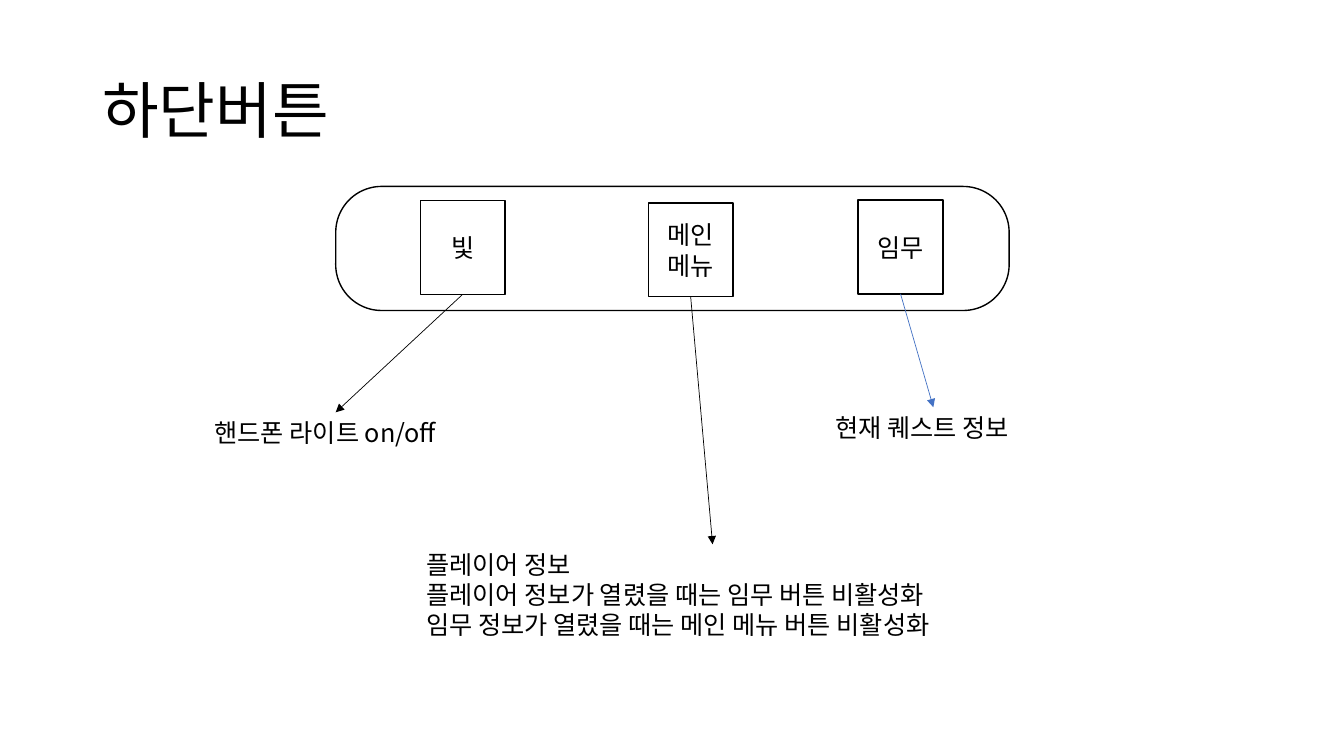
from lxml.etree import SubElement
from pptx import Presentation
from pptx.dml.color import RGBColor
from pptx.enum.shapes import MSO_CONNECTOR as Connector, MSO_SHAPE as Shape
from pptx.enum.text import MSO_ANCHOR as Anchor, PP_ALIGN as Align
from pptx.oxml.ns import qn
from pptx.util import Pt

FONT = "Noto Sans CJK KR"
COLORS = {"ink": "000000", "paper": "FFFFFF", "blue": "4472C4"}
BUTTON_WIDTH, BUTTON_HEIGHT = 60.7, 67.1
BOTTOM_SITE = 2

# Button: text, left, top; arrow: tip and colour
BUTTONS = [
    ("빛", 300.2, 143.1, (239.8, 294.5), "ink"),
    ("메인메뉴", 463, 144.9, (509, 388.8), "ink"),
    ("임무", 612.9, 142.8, (666.7, 290.9), "blue"),
]

# Note: lines, left, top, width, height
NOTES = [
    (["핸드폰 라이트 on/off"], 146.2, 294.5, 187.2, 29.1),
    (["플레이어 정보",
      "플레이어 정보가 열렸을 때는 임무 버튼 비활성화",
      "임무 정보가 열렸을 때는 메인 메뉴 버튼 비활성화"], 297.4, 388.8, 423.4, 72.7),
    (["현재 퀘스트 정보"], 589.7, 290.9, 154.8, 29.1),
]


def color(name):
    return RGBColor.from_string(COLORS[name])


def write(frame, lines, size, align=Align.LEFT, spacing=None):
    for index, line in enumerate(lines):
        para = frame.add_paragraph() if index else frame.paragraphs[0]
        para.text = line
        para.alignment = align
        if spacing:
            para.line_spacing = spacing
        para.font.size = Pt(size)
        para.font.color.rgb = color("ink")
        para.font.name = FONT
        # Korean letters take the East Asian typeface
        SubElement(para._p.pPr.find(qn("a:defRPr")), qn("a:ea"), typeface=FONT)


def add_text(page, lines, left, top, width, height, size=18, wrap=False,
             anchor=Anchor.TOP, spacing=None):
    box = page.shapes.add_textbox(Pt(left), Pt(top), Pt(width), Pt(height))
    box.text_frame.word_wrap = wrap
    box.text_frame.vertical_anchor = anchor
    write(box.text_frame, lines, size, spacing=spacing)


def add_outline(page, kind, left, top, width, height):
    shape = page.shapes.add_shape(kind, Pt(left), Pt(top), Pt(width), Pt(height))
    shape.shadow.inherit = False
    shape.fill.solid()
    shape.fill.fore_color.rgb = color("paper")
    shape.line.color.rgb = color("ink")
    shape.line.width = Pt(1)
    return shape


def add_button(page, text, left, top):
    button = add_outline(page, Shape.RECTANGLE, left, top, BUTTON_WIDTH, BUTTON_HEIGHT)
    button.text_frame.word_wrap = True
    button.text_frame.vertical_anchor = Anchor.MIDDLE
    write(button.text_frame, [text], 18, Align.CENTER)
    return button


def add_arrow(page, button, tip, color_name):
    x, y = tip
    arrow = page.shapes.add_connector(Connector.STRAIGHT, 0, 0, Pt(x), Pt(y))
    arrow.begin_connect(button, BOTTOM_SITE)
    arrow.line.color.rgb = color(color_name)
    arrow.line.width = Pt(0.5)
    SubElement(arrow.line._get_or_add_ln(), qn("a:tailEnd"), type="triangle")
    SubElement(arrow._element.spPr, qn("a:effectLst"))


def main():
    deck = Presentation()
    deck.slide_width, deck.slide_height = Pt(960), Pt(540)
    page = deck.slides.add_slide(deck.slide_layouts[6])

    # Title
    add_text(page, ["하단버튼"], 66, 28.75, 828, 104.4, size=44, wrap=True,
             anchor=Anchor.MIDDLE, spacing=0.9)

    # Button bar
    bar = add_outline(page, Shape.ROUNDED_RECTANGLE, 239.8, 133.2, 481, 88.6)
    bar.adjustments[0] = 0.37

    # Buttons with their arrows
    for text, left, top, tip, color_name in BUTTONS:
        button = add_button(page, text, left, top)
        add_arrow(page, button, tip, color_name)

    # Explanations
    for note in NOTES:
        add_text(page, *note)

    deck.save("out.pptx")


if __name__ == "__main__":
    main()
